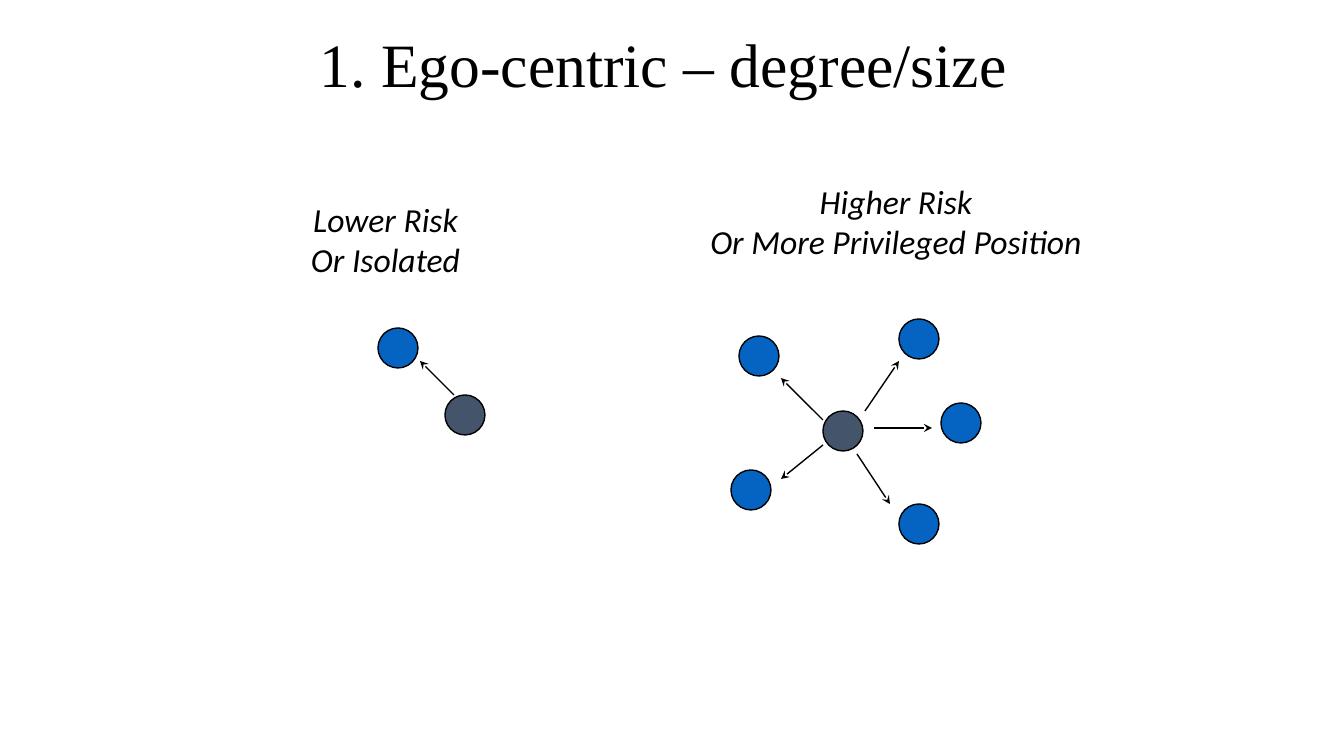
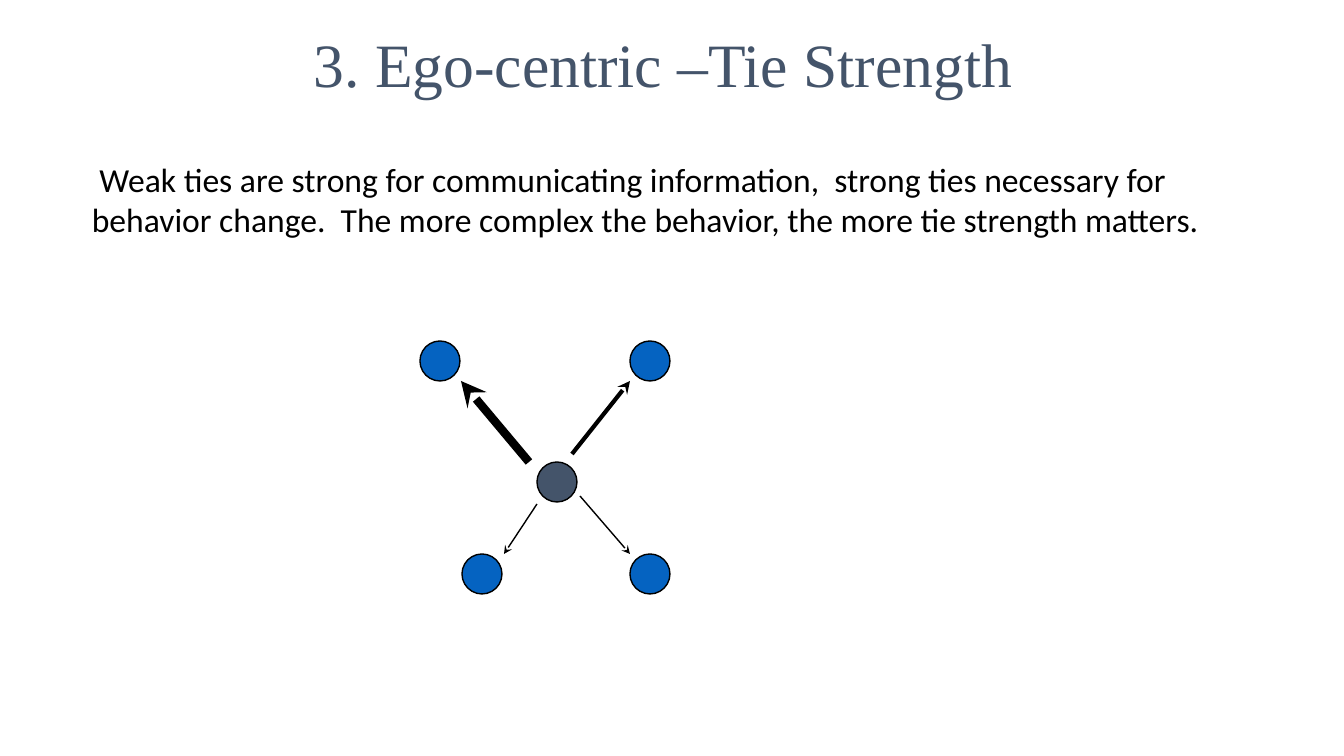
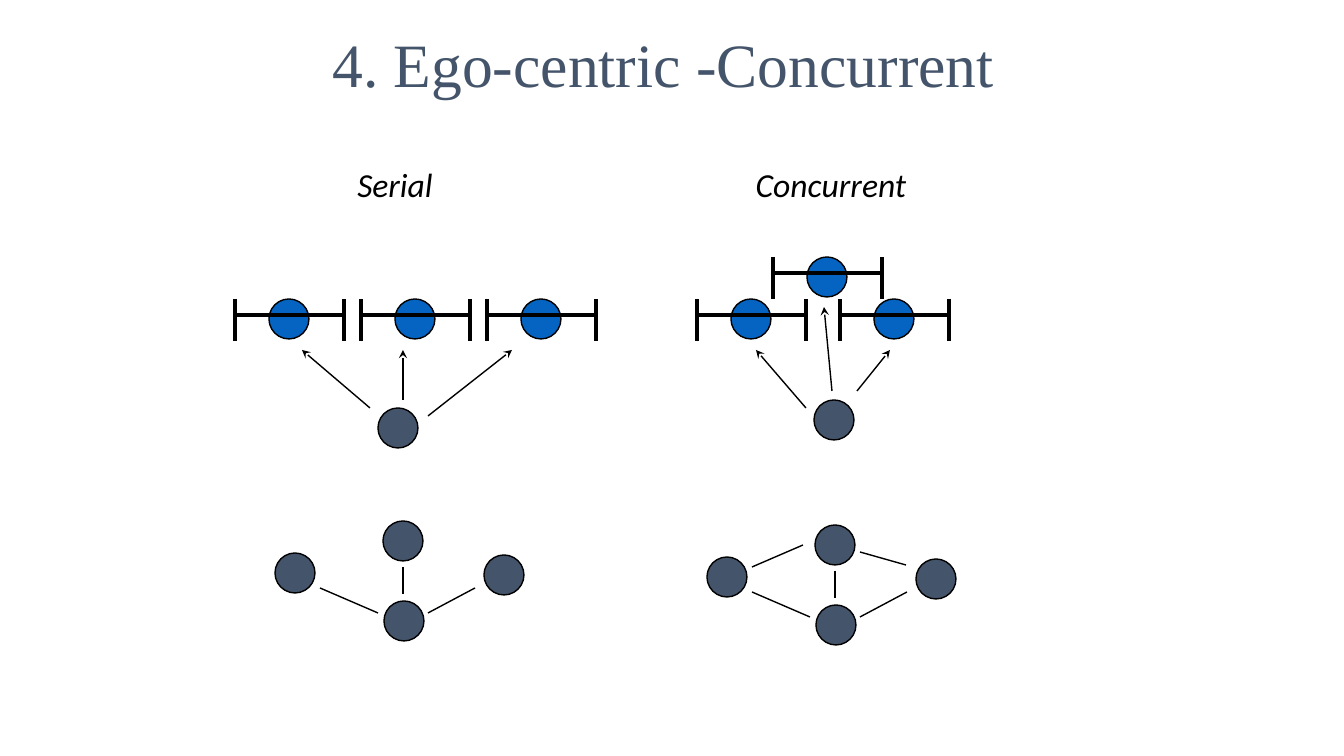
from pptx import Presentation
from pptx.dml.color import RGBColor
from pptx.enum.shapes import MSO_CONNECTOR, MSO_SHAPE
from pptx.enum.text import MSO_ANCHOR, MSO_AUTO_SIZE, PP_ALIGN
from pptx.oxml.ns import qn
from pptx.oxml.xmlchemy import OxmlElement
from pptx.util import Pt

SCALE = 914400 / 100.8
BLACK = RGBColor(0x00, 0x00, 0x00)
BLUE = RGBColor(0x05, 0x63, 0xC1)
SLATE = RGBColor(0x44, 0x54, 0x6A)
TITLE_FONT = "Times New Roman"
BODY_FONT = "Calibri"

TITLE_BOX = (235, 0, 857, 126)
NODE_SIZE = 40
INTERVAL_WIDTH = 109
INTERVAL_HEIGHT = 42
INTERVAL_MIDDLE = 16
INTERVAL_NODE_OFFSET = 34
NETWORK_SHIFT = (432, 4)

DEGREE = {
    "title": ("1. Ego-centric – degree/size", BLACK),
    "labels": [
        (["Lower Risk", "Or Isolated"], (300, 194, 171, 92)),
        (["Higher Risk", "Or More Privileged Position"], (698, 176, 396, 92)),
    ],
    "egos": [(445, 395), (823, 411)],
    "peers": [(378, 328), (899, 319), (739, 336), (941, 403), (899, 504), (731, 470)],
    "arrows": [
        ((454, 395), (420, 361), 1),
        ((874, 428), (932, 428), 1),
        ((823, 420), (781, 378), 1),
        ((865, 411), (899, 361), 1),
        ((857, 454), (890, 504), 1),
        ((823, 445), (781, 479), 1),
    ],
}

TIE_STRENGTH = {
    "title": ("3. Ego-centric –Tie Strength", SLATE),
    "statement": (
        " Weak ties are strong for communicating information,  strong ties necessary "
        "for behavior change.  The more complex the behavior, the more tie strength matters.",
        (82, 154, 1148, 92),
    ),
    "egos": [(537, 462)],
    "peers": [(420, 341), (630, 341), (630, 554), (462, 554)],
    "arrows": [
        ((529, 462), (461, 381), 6),
        ((572, 454), (630, 381), 3),
        ((580, 496), (630, 554), 1),
        ((537, 504), (504, 554), 1),
    ],
}

NETWORK_NODES = [(384, 601), (275, 553), (383, 521), (484, 555)]
NETWORK_TIES = [
    ((475, 588), (428, 613)),
    ((403, 567), (403, 594)),
    ((378, 613), (320, 588)),
]
CONCURRENT_TIES = [((906, 565), (860, 552)), ((803, 545), (752, 567))]


def shifted(point):
    return point[0] + NETWORK_SHIFT[0], point[1] + NETWORK_SHIFT[1]


CONCURRENT = {
    "title": ("4. Ego-centric -Concurrent", SLATE),
    "labels": [
        (["Serial"], (328, 159, 134, 51)),
        (["Concurrent"], (745, 159, 172, 51)),
    ],
    "intervals": [(235, 299), (361, 299), (487, 299), (697, 299), (773, 257), (840, 299)],
    "egos": [(378, 408), (814, 400)]
    + NETWORK_NODES
    + [shifted(node) for node in NETWORK_NODES],
    "arrows": [
        ((370, 408), (302, 350), 1),
        ((403, 400), (403, 350), 1),
        ((428, 416), (512, 350), 1),
        ((806, 408), (756, 350), 1),
        ((832, 391), (824, 307), 1),
        ((857, 391), (890, 350), 1),
    ],
    "ties": NETWORK_TIES
    + [(shifted(start), shifted(end)) for start, end in NETWORK_TIES]
    + CONCURRENT_TIES,
}


def emu(*pixels):
    return [round(pixel * SCALE) for pixel in pixels]


def write_run(paragraph, text, font_name, size, color, italic=False):
    run = paragraph.add_run()
    run.text = text
    run.font.name = font_name
    run.font.size = Pt(size)
    run.font.color.rgb = color
    run.font.italic = italic


def add_title(slide, text, color):
    frame = slide.shapes.title.text_frame
    frame.vertical_anchor = MSO_ANCHOR.MIDDLE
    frame.auto_size = MSO_AUTO_SIZE.NONE
    paragraph = frame.paragraphs[0]
    paragraph.alignment = PP_ALIGN.CENTER
    write_run(paragraph, text, TITLE_FONT, 44, color)


def add_text(slide, lines, box, label=True):
    frame = slide.shapes.add_textbox(*emu(*box)).text_frame
    frame.word_wrap = not label
    frame.auto_size = MSO_AUTO_SIZE.SHAPE_TO_FIT_TEXT
    for index, line in enumerate(lines):
        paragraph = frame.add_paragraph() if index else frame.paragraphs[0]
        paragraph.alignment = PP_ALIGN.CENTER if label else PP_ALIGN.LEFT
        write_run(paragraph, line, BODY_FONT, 24, BLACK, italic=label)


def add_node(slide, left, top, color):
    shape = slide.shapes.add_shape(
        MSO_SHAPE.OVAL, *emu(left, top, NODE_SIZE, NODE_SIZE)
    )
    shape.shadow.inherit = False
    shape.fill.solid()
    shape.fill.fore_color.rgb = color
    shape.line.color.rgb = BLACK
    shape.line.width = Pt(1)


def add_line(slide, start, end, width=1, arrow=False):
    connector = slide.shapes.add_connector(
        MSO_CONNECTOR.STRAIGHT, *emu(*start, *end)
    )
    connector.line.color.rgb = BLACK
    connector.line.width = Pt(width)
    properties = connector.element.spPr
    if arrow:
        head = OxmlElement("a:tailEnd")
        head.set("type", "stealth")
        properties.find(qn("a:ln")).append(head)
    properties.append(OxmlElement("a:effectLst"))


def add_interval(slide, left, top):
    right, bottom, middle = left + INTERVAL_WIDTH, top + INTERVAL_HEIGHT, top + INTERVAL_MIDDLE
    add_node(slide, left + INTERVAL_NODE_OFFSET, top, BLUE)
    add_line(slide, (left, middle), (right, middle), 3)
    for end in (left, right):
        add_line(slide, (end, top), (end, bottom), 3)


def build_slide(presentation, layout, content):
    slide = presentation.slides.add_slide(layout)
    add_title(slide, *content["title"])
    for lines, box in content.get("labels", []):
        add_text(slide, lines, box)
    if "statement" in content:
        text, box = content["statement"]
        add_text(slide, [text], box, label=False)
    for left, top in content.get("intervals", []):
        add_interval(slide, left, top)
    for color, group in ((BLUE, "peers"), (SLATE, "egos")):
        for left, top in content.get(group, []):
            add_node(slide, left, top, color)
    for start, end, width in content["arrows"]:
        add_line(slide, start, end, width, arrow=True)
    for start, end in content.get("ties", []):
        add_line(slide, start, end)


presentation = Presentation()
presentation.slide_width, presentation.slide_height = emu(1344, 756)
title_layout = presentation.slide_layouts[5]
layout_title = title_layout.placeholders[0]
layout_title.left, layout_title.top, layout_title.width, layout_title.height = emu(*TITLE_BOX)
for content in (DEGREE, TIE_STRENGTH, CONCURRENT):
    build_slide(presentation, title_layout, content)
presentation.save("out.pptx")
